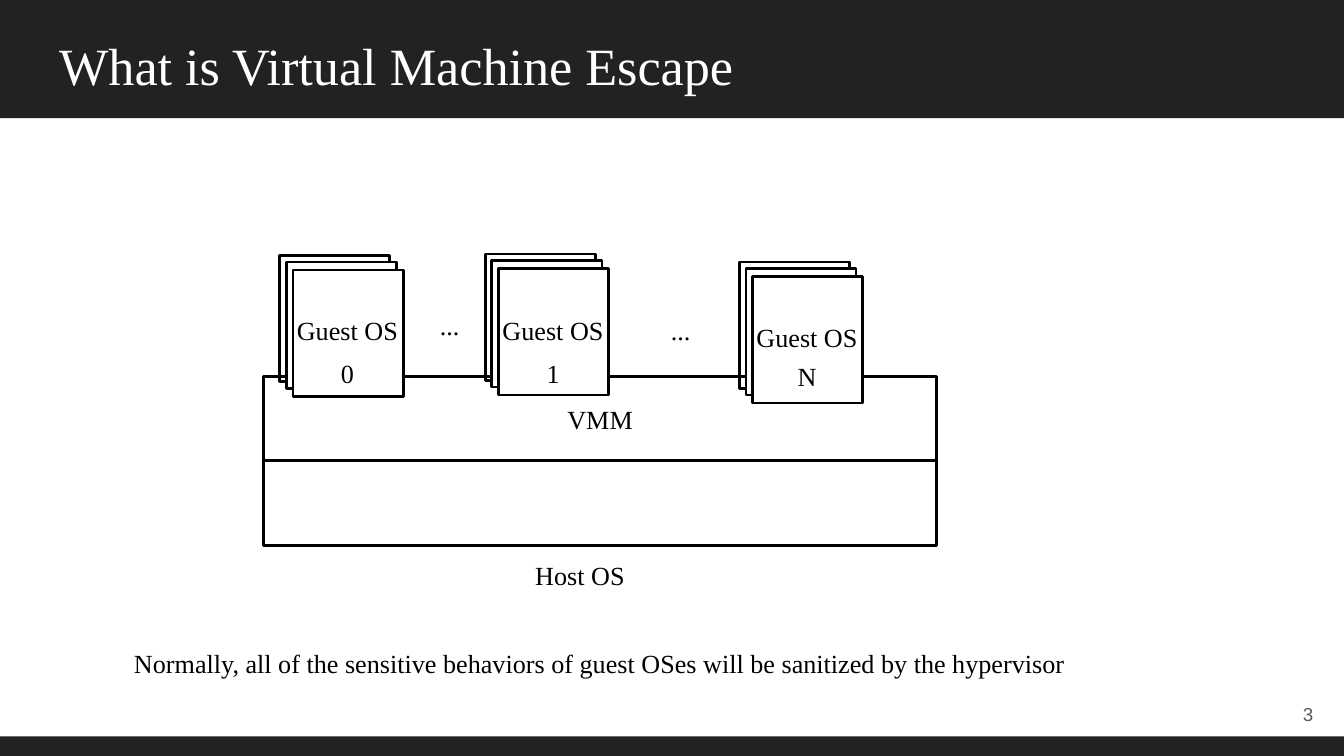
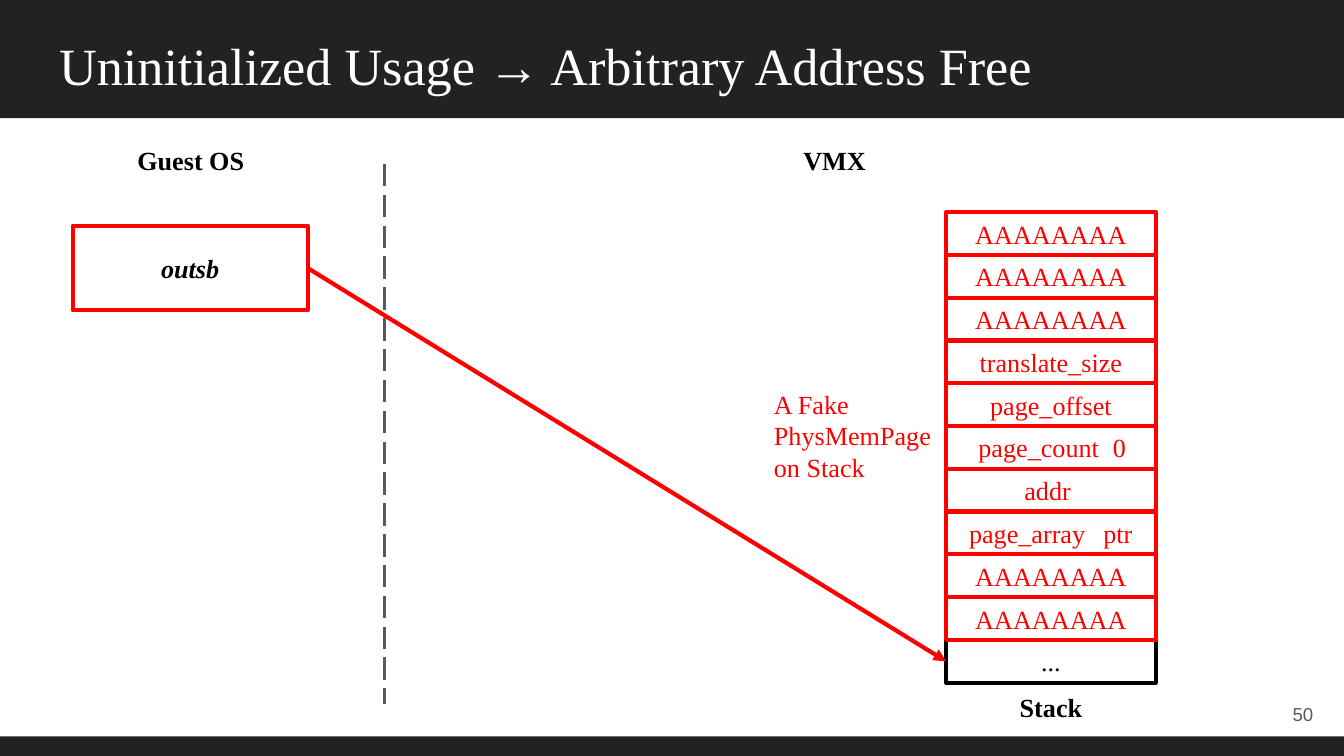
from dataclasses import dataclass

from lxml.etree import SubElement
from pptx import Presentation
from pptx.dml.color import RGBColor as Color
from pptx.enum.dml import MSO_LINE as Dash
from pptx.enum.shapes import MSO_CONNECTOR as Connector, MSO_SHAPE as Shape
from pptx.enum.text import MSO_ANCHOR as Anchor, MSO_AUTO_SIZE as AutoSize, PP_ALIGN as Align
from pptx.oxml.ns import qn
from pptx.util import Inches, Pt


@dataclass(frozen=True)
class Theme:
    band: Color = Color.from_string("222222")
    white: Color = Color.from_string("FFFFFF")
    black: Color = Color.from_string("000000")
    red: Color = Color.from_string("FF0000")
    gray: Color = Color.from_string("595959")
    serif: str = "Times New Roman"
    sans: str = "Arial"
    title_size: int = 28
    body_size: int = 14
    number_size: int = 10
    thin: float = 1.5
    thick: float = 2.25


theme = Theme()


def draw_rect(slide, at, fill=None, line=None, width=theme.thin):
    rect = slide.shapes.add_shape(Shape.RECTANGLE, *map(Inches, at))
    rect.shadow.inherit = False
    if fill is None:
        rect.fill.background()
    else:
        rect.fill.solid()
        rect.fill.fore_color.rgb = fill
    if line is None:
        rect.line.fill.background()
    else:
        rect.line.color.rgb = line
        rect.line.width = Pt(width)
    return rect


def write(box, text, color=theme.black, size=theme.body_size, font=theme.serif,
          align=Align.CENTER, anchor=Anchor.MIDDLE, bold=False, italic=False, tab=None):
    frame = box.text_frame
    frame.text = text
    frame.word_wrap = True
    frame.auto_size = AutoSize.NONE
    frame.vertical_anchor = anchor
    frame.margin_left = frame.margin_right = Inches(0.1)
    frame.margin_top = frame.margin_bottom = Inches(0.1)
    if tab:
        for element in box.element.iter(qn("a:p")):
            tabs = SubElement(element.get_or_add_pPr(), qn("a:tabLst"))
            SubElement(tabs, qn("a:tab"), pos=str(Inches(tab)), algn="l")
    for para in frame.paragraphs:
        para.alignment = align
        para.font.name = font
        para.font.size = Pt(size)
        para.font.color.rgb = color
        para.font.bold = bold
        para.font.italic = italic
    return frame


deck = Presentation()
deck.slide_width, deck.slide_height = Inches(10), Inches(10) * 9 // 16
layout = deck.slide_layouts.get_by_name("Title Only")
pages = []
for title, number in (
    ("What is Virtual Machine Escape", "3"),
    ("Uninitialized Usage → Arbitrary Address Free", "50"),
):
    page = deck.slides.add_slide(layout)
    heading = page.shapes.title
    heading.left, heading.top = Inches(0.34), Inches(0.15)
    heading.width, heading.height = Inches(8), Inches(0.63)
    write(heading, title, theme.white, theme.title_size, align=Align.LEFT, anchor=Anchor.TOP)
    number_box = page.shapes.add_textbox(*map(Inches, (9.27, 5.1, 0.6, 0.43)))
    write(number_box, number, theme.gray, theme.number_size, theme.sans, Align.RIGHT)
    pages.append(page)
escape_page, free_page = pages

for at in ((0, 0, 10, 0.88), (0, 5.48, 10, 0.15)):
    band = draw_rect(escape_page, at, theme.band)
    layout.shapes.element.insert(2, band.element)

vmm = draw_rect(escape_page, (1.96, 2.8, 5.01, 0.63), theme.white, theme.black)
write(vmm, "VMM")
draw_rect(escape_page, (1.96, 3.43, 5.01, 0.63), theme.white, theme.black)

labels = [("...", 2.82, 2.2), ("...", 4.54, 2.24), ("Host OS", 3.79, 4.06)]
for name, left, top, label_top, name_top in (
    ("0", 2.08, 1.9, 2.24, 2.56),
    ("1", 3.61, 1.89, 2.24, 2.56),
    ("N", 5.5, 1.95, 2.29, 2.58),
):
    for shift_x, shift_y, fill in ((0, 0, None), (0.05, 0.05, theme.white), (0.1, 0.11, theme.white)):
        draw_rect(escape_page, (left + shift_x, top + shift_y, 0.82, 0.94), fill, theme.black)
    labels += [("Guest OS", left - 0.02, label_top), (name, left - 0.02, name_top)]

for text, left, top in labels:
    label = escape_page.shapes.add_textbox(*map(Inches, (left, top, 1.05, 0.25)))
    write(label, text, anchor=Anchor.TOP)

summary = escape_page.shapes.add_textbox(*map(Inches, (0.33, 4.65, 8.27, 0.57)))
write(summary, "Normally, all of the sensitive behaviors of guest OSes will be sanitized by the hypervisor")

for text, at in (
    ("Guest OS", (0.7, 0.95, 1.44, 0.48)),
    ("VMX", (5.49, 0.95, 1.44, 0.48)),
    ("Stack", (7.29, 5.08, 1.06, 0.36)),
):
    write(free_page.shapes.add_textbox(*map(Inches, at)), text, bold=True)

outsb = draw_rect(free_page, (0.54, 1.68, 1.75, 0.63), line=theme.red, width=theme.thick)
write(outsb, "outsb", bold=True, italic=True)

stack_words = ["AAAAAAAA"] * 3 + [
    "translate_size", "page_offset", "page_count\t0", "addr ", "page_array\tptr",
    "AAAAAAAA", "AAAAAAAA", "...",
]
tabbed_insets = {"page_count\t0": 0.24, "page_array\tptr": 0.17}
stack_top, stack_bottom = 1.58, 5.08
cell_height = (stack_bottom - stack_top) / len(stack_words)
cells = {}
for row in reversed(range(len(stack_words))):
    word = stack_words[row]
    color = theme.black if word == "..." else theme.red
    at = (7.04, stack_top + row * cell_height, 1.56, cell_height)
    cells[row] = draw_rect(free_page, at, line=color, width=theme.thick)
    if word in tabbed_insets:
        frame = write(cells[row], word, color, align=Align.LEFT, tab=1)
        frame.margin_left = Inches(tabbed_insets[word])
    else:
        write(cells[row], word, color)

note = free_page.shapes.add_textbox(*map(Inches, (5.66, 2.79, 1.52, 0.76)))
write(note, "A Fake PhysMemPage\non Stack", theme.red, align=Align.LEFT, anchor=Anchor.TOP)

arrow = free_page.shapes.add_connector(Connector.STRAIGHT, *map(Inches, (2.29, 2, 7.04, 4.92)))
arrow.begin_connect(outsb, 3)
arrow.end_connect(cells[len(stack_words) - 1], 1)
divider = free_page.shapes.add_connector(Connector.STRAIGHT, *map(Inches, (2.86, 1.22, 2.86, 5.24)))
for line, color, width in ((arrow, theme.red, theme.thick), (divider, theme.gray, theme.thin)):
    line.line.color.rgb = color
    line.line.width = Pt(width)
    SubElement(line.element.spPr, qn("a:effectLst"))
divider.line.dash_style = Dash.LONG_DASH
SubElement(arrow.element.spPr.find(qn("a:ln")), qn("a:tailEnd"), type="triangle")

deck.save("out.pptx")
